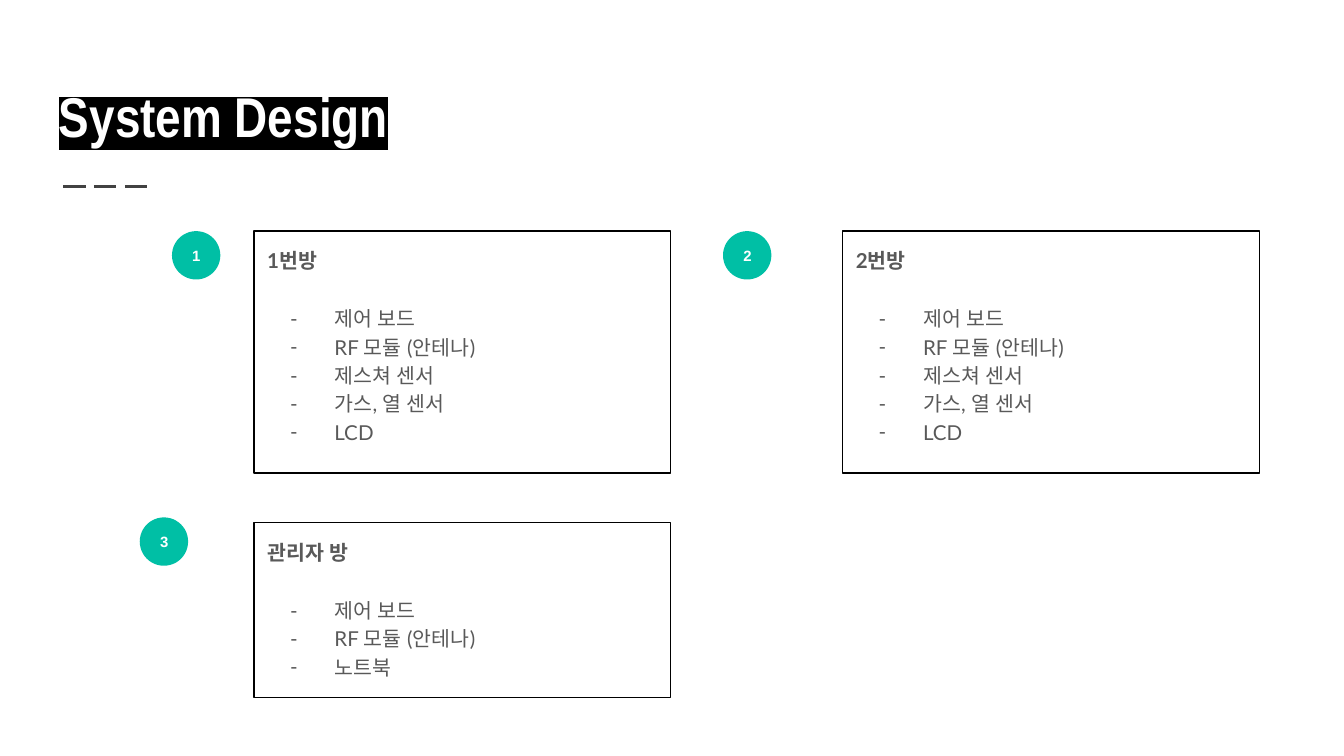
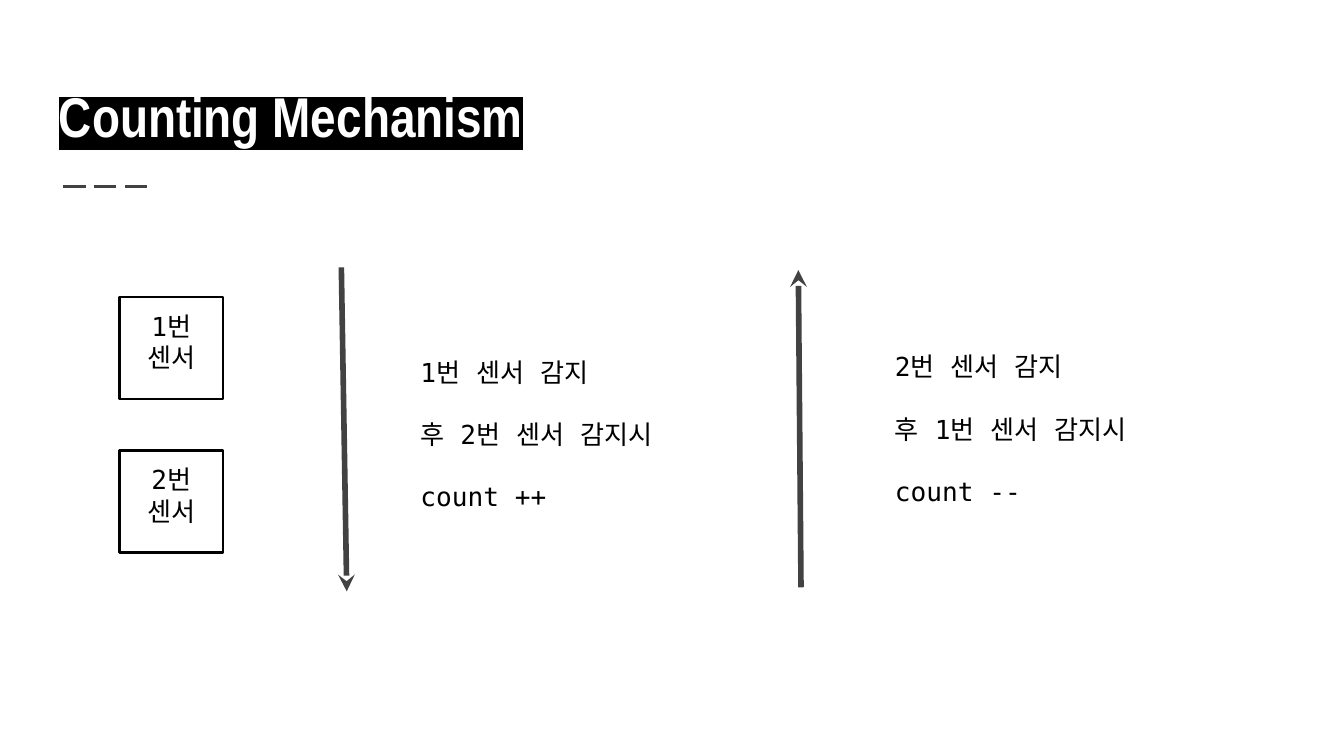
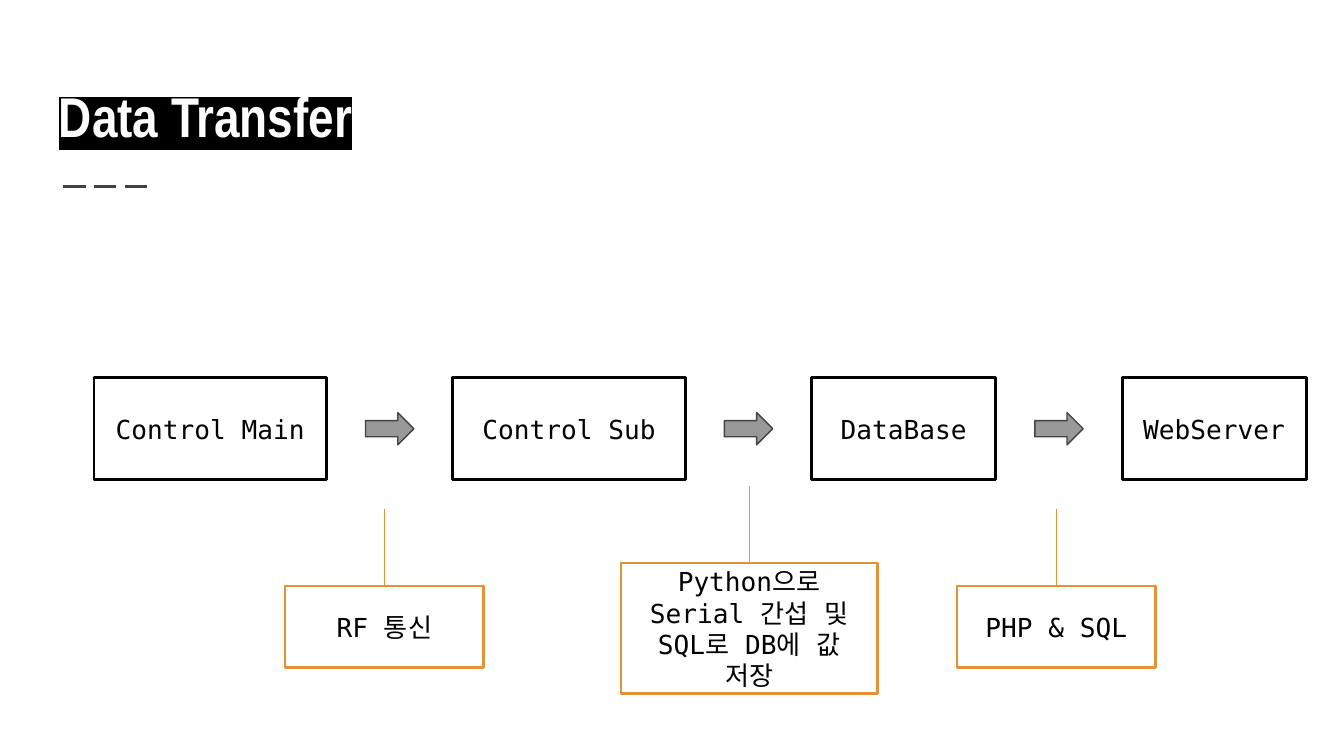
from lxml import etree
from pptx import Presentation
from pptx.dml.color import RGBColor
from pptx.enum.dml import MSO_LINE
from pptx.enum.shapes import MSO_CONNECTOR, MSO_SHAPE
from pptx.enum.text import MSO_ANCHOR, PP_ALIGN
from pptx.oxml.ns import qn
from pptx.util import Inches, Pt

BLACK = RGBColor(0x00, 0x00, 0x00)
WHITE = RGBColor(0xFF, 0xFF, 0xFF)
CHARCOAL = RGBColor(0x42, 0x42, 0x42)
TEXT_GRAY = RGBColor(0x59, 0x59, 0x59)
ARROW_GRAY = RGBColor(0x99, 0x99, 0x99)
TEAL = RGBColor(0x00, 0xBF, 0xA5)
ORANGE = RGBColor(0xE6, 0x91, 0x38)

TITLE = {"name": "Arial Narrow", "size": Pt(30), "bold": True, "color": WHITE}
BADGE = {"name": "Arial", "size": Pt(8), "bold": True, "color": WHITE}
CARD_BODY = {"name": "Lato", "size": Pt(11), "bold": False, "color": TEXT_GRAY}
CARD_HEADING = {**CARD_BODY, "bold": True}
MONO = {"name": "DejaVu Sans Mono", "size": Pt(14), "bold": False, "color": BLACK}

ROOM_PARTS = ["제어 보드", "RF 모듈 (안테나)", "제스쳐 센서", "가스, 열 센서", "LCD"]
ADMIN_PARTS = ["제어 보드", "RF 모듈 (안테나)", "노트북"]


def add_element(parent, tag, **attributes):
    """Append a drawing element and return it."""
    return etree.SubElement(parent, qn(tag), attributes)


def write(para, text, style):
    """Add a styled run to a paragraph, with one font for all scripts."""
    span = para.add_run()
    span.text = text
    for name, value in style.items():
        if name == "color":
            span.font.color.rgb = value
        else:
            setattr(span.font, name, value)
    for script in ("a:ea", "a:cs"):
        add_element(span.font._element, script, typeface=style["name"])
    return span


def prepare_frame(box, anchor):
    """Set the wrapping, margins and anchor of a text frame."""
    frame = box.text_frame
    settings = {"word_wrap": True, "vertical_anchor": anchor}
    for side in ("left", "top", "right", "bottom"):
        settings[f"margin_{side}"] = Inches(0.1)
    for name, value in settings.items():
        setattr(frame, name, value)
    return frame


def add_box(page, kind, left, top, width, height, fill=None, line=None, weight=1.5):
    """Add a preset shape with an optional fill and outline."""
    box = page.shapes.add_shape(
        kind, Inches(left), Inches(top), Inches(width), Inches(height))
    box.shadow.inherit = False
    if fill is None:
        box.fill.background()
    else:
        box.fill.solid()
        box.fill.fore_color.rgb = fill
    if line is None:
        box.line.fill.background()
    else:
        box.line.color.rgb = line
        box.line.width = Pt(weight)
    return box


def add_label(box, text, style, anchor=MSO_ANCHOR.MIDDLE):
    """Write one centred paragraph in a shape."""
    para = prepare_frame(box, anchor).paragraphs[0]
    para.alignment = PP_ALIGN.CENTER
    write(para, text, style)


def add_line(page, start, end, color, weight):
    """Add a straight connector without a shadow."""
    line = page.shapes.add_connector(
        MSO_CONNECTOR.STRAIGHT, *(Inches(value) for value in (*start, *end)))
    line.line.color.rgb = color
    line.line.width = Pt(weight)
    add_element(line._element.spPr, "a:effectLst")
    return line


def add_arrow(page, start, end):
    """Add a thick direction arrow with a stealth head."""
    arrow = add_line(page, start, end, CHARCOAL, 3)
    add_element(arrow.line._get_or_add_ln(), "a:tailEnd", type="stealth")


def add_page(deck, title):
    """Add a page with a highlighted title and the dashed rule."""
    page = deck.slides.add_slide(deck.slide_layouts[6])
    rule = add_line(page, (0.47, 1.39), (1.14, 1.39), CHARCOAL, 1.5)
    rule.line.dash_style = MSO_LINE.LONG_DASH
    box = page.shapes.add_textbox(
        Inches(0.34), Inches(0.41), Inches(9.32), Inches(0.8))
    frame = prepare_frame(box, MSO_ANCHOR.BOTTOM)
    span = write(frame.paragraphs[0], title, TITLE)
    highlight = etree.Element(qn("a:highlight"))
    add_element(highlight, "a:srgbClr", val=str(BLACK))
    span.font._element.find(qn("a:solidFill")).addnext(highlight)
    return page


def add_badge(page, number, left, top):
    """Add a numbered teal circle."""
    badge = add_box(page, MSO_SHAPE.OVAL, left, top, 0.36, 0.36, fill=TEAL)
    add_label(badge, str(number), BADGE)


def make_bullet(para):
    """Give a paragraph a hanging dash bullet."""
    properties = para._p.get_or_add_pPr()
    properties.set("marL", str(Inches(0.5)))
    properties.set("indent", str(Inches(-0.33)))
    color = add_element(properties, "a:buClr")
    add_element(color, "a:srgbClr", val=str(TEXT_GRAY))
    add_element(properties, "a:buFont", typeface=CARD_BODY["name"])
    add_element(properties, "a:buChar", char="-")


def add_card(page, heading, parts, left, top, height):
    """Add an outlined room card with a heading and its parts."""
    card = add_box(page, MSO_SHAPE.RECTANGLE, left, top, 3.1, height,
                   line=BLACK, weight=0.75)
    frame = prepare_frame(card, MSO_ANCHOR.TOP)
    para = frame.paragraphs[0]
    para.alignment = PP_ALIGN.LEFT
    para.line_spacing = 1.15
    write(para, heading, CARD_HEADING)
    for index, part in enumerate(parts):
        para = frame.add_paragraph()
        make_bullet(para)
        para.alignment = PP_ALIGN.LEFT
        para.line_spacing = 1.15
        if index == 0:
            para.space_before = Pt(16)
        write(para, part, CARD_BODY)


def add_steps(page, steps, left, top):
    """Add a text box of spaced counting steps."""
    box = page.shapes.add_textbox(
        Inches(left), Inches(top), Inches(2.17), Inches(2.32))
    frame = prepare_frame(box, MSO_ANCHOR.MIDDLE)
    for index, step in enumerate(steps):
        para = frame.add_paragraph() if index else frame.paragraphs[0]
        if index:
            para.space_before = Pt(16.5)
        write(para, step, MONO)


def add_stages(page, stages, left, top):
    """Add a row of stage boxes with a block arrow in each gap."""
    gap, height, arrow_width, arrow_height = 0.94, 0.76, 0.36, 0.24
    for index, (name, width) in enumerate(stages):
        if index:
            add_box(page, MSO_SHAPE.RIGHT_ARROW,
                    left - (gap + arrow_width) / 2,
                    top + (height - arrow_height) / 2,
                    arrow_width, arrow_height, ARROW_GRAY, CHARCOAL, 0.75)
        stage = add_box(page, MSO_SHAPE.RECTANGLE, left, top, width, height, line=BLACK)
        add_label(stage, name, MONO)
        left += width + gap


def add_callout(page, text, left, top, width, height):
    """Add an orange note with a line rising from its top."""
    note = add_box(page, MSO_SHAPE.RECTANGLE, left, top, width, height, line=ORANGE)
    add_label(note, text, MONO)
    center = left + width / 2
    stem = add_line(page, (center, top), (center, top - 0.57), ORANGE, 0.75)
    stem.begin_connect(note, 0)


def build_system_design(deck):
    """Build the page of room equipment."""
    page = add_page(deck, "System Design")
    for number, (left, top) in enumerate([(1.28, 1.72), (5.38, 1.72), (1.04, 3.85)], 1):
        add_badge(page, number, left, top)
    add_card(page, "1번방", ROOM_PARTS, 1.89, 1.72, 1.8)
    add_card(page, "2번방", ROOM_PARTS, 6.27, 1.72, 1.8)
    add_card(page, "관리자 방", ADMIN_PARTS, 1.89, 3.89, 1.3)


def build_counting(deck):
    """Build the page of sensor order and counting."""
    page = add_page(deck, "Counting Mechanism")
    for index, name in enumerate(["1번 센서", "2번 센서"]):
        sensor = add_box(page, MSO_SHAPE.RECTANGLE, 0.89, 2.21 + index * 1.14,
                         0.77, 0.76, line=BLACK)
        add_label(sensor, name, MONO, MSO_ANCHOR.TOP)
    add_arrow(page, (2.54, 1.99), (2.58, 4.4))
    add_arrow(page, (5.96, 4.37), (5.94, 2.01))
    add_steps(page, ["1번 센서 감지", "후 2번 센서 감지시", "count ++"], 3.03, 2.07)
    add_steps(page, ["2번 센서 감지", "후 1번 센서 감지시", "count --"], 6.56, 2.03)


def build_data_transfer(deck):
    """Build the page of the data path."""
    page = add_page(deck, "Data Transfer")
    stages = [("Control Main", 1.73), ("Control Sub", 1.73),
              ("DataBase", 1.37), ("WebServer", 1.37)]
    add_stages(page, stages, 0.7, 2.81)
    add_callout(page, "RF 통신", 2.12, 4.36, 1.48, 0.61)
    add_callout(page, "Python으로 Serial 간섭 및 SQL로 DB에 값 저장",
                4.62, 4.19, 1.91, 0.97)
    add_callout(page, "PHP & SQL", 7.12, 4.36, 1.48, 0.61)


def main():
    """Build and save the widescreen deck."""
    deck = Presentation()
    deck.slide_width = Inches(10)
    deck.slide_height = Inches(10 * 9 / 16)
    build_system_design(deck)
    build_counting(deck)
    build_data_transfer(deck)
    deck.save("out.pptx")


if __name__ == "__main__":
    main()
